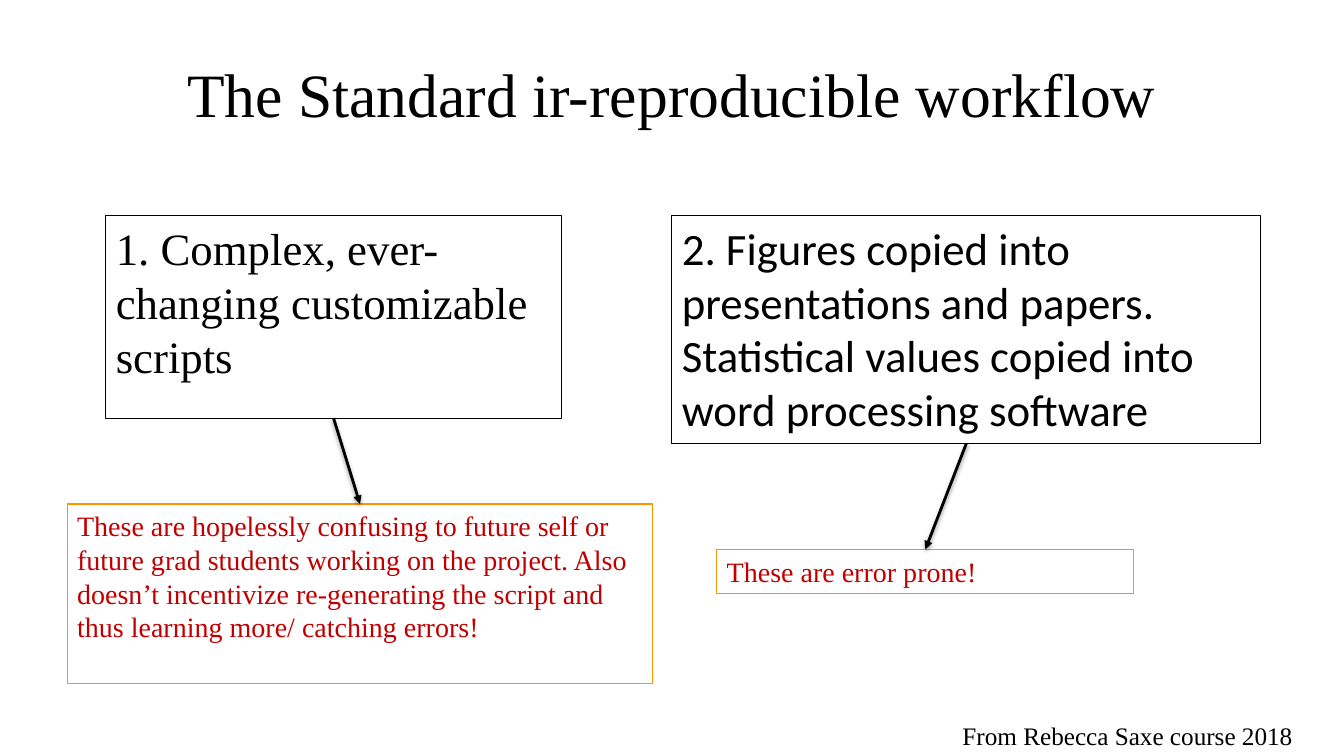
"""Build the slide on the standard ir-reproducible workflow."""
from lxml import etree
from pptx import Presentation
from pptx.dml.color import RGBColor
from pptx.enum.shapes import MSO_CONNECTOR, MSO_SHAPE
from pptx.enum.text import MSO_ANCHOR, PP_ALIGN
from pptx.oxml import parse_xml
from pptx.oxml.ns import nsdecls, qn
from pptx.util import Pt

SERIF = "Times New Roman"
BLACK, RED, ORANGE = "000000", "C00000", "FF9300"


def color(value):
    return RGBColor.from_string(value)


def add_box(box, text, size, font, text_color, line_color=None,
            align=PP_ALIGN.LEFT, anchor=MSO_ANCHOR.TOP):
    left, top, width, height = [Pt(length) for length in box]
    if line_color:
        shape = slide.shapes.add_shape(MSO_SHAPE.RECTANGLE, left, top, width, height)
        shape.shadow.inherit = False
        shape.fill.background()
        shape.line.color.rgb = color(line_color)
        shape.line.width = Pt(0.75)
    else:
        shape = slide.shapes.add_textbox(left, top, width, height)
    frame = shape.text_frame
    frame.word_wrap = True
    frame.vertical_anchor = anchor
    paragraph = frame.paragraphs[0]
    paragraph.alignment = align
    run = paragraph.add_run()
    run.text = text
    run.font.size = Pt(size)
    run.font.name = font
    run.font.color.rgb = color(text_color)
    return shape


presentation = Presentation()
presentation.slide_width = Pt(960)
presentation.slide_height = Pt(540)
slide = presentation.slides.add_slide(presentation.slide_layouts[6])

add_box((48, 21.6, 864, 90), "The Standard ir-reproducible workflow",
        44, SERIF, BLACK, align=PP_ALIGN.CENTER, anchor=MSO_ANCHOR.MIDDLE)

columns = [
    ((75.6, 154.1, 325.4, 144.7), SERIF,
     "1. Complex, ever-changing customizable scripts",
     (48, 360, 418.3, 128.2),
     "These are hopelessly confusing to future self or future grad students "
     "working on the project. Also doesn’t incentivize re-generating the "
     "script and thus learning more/ catching errors!"),
    ((480, 154.1, 420.5, 162.7), "Calibri",
     "2. Figures copied into presentations and papers. "
     "Statistical values copied into word processing software",
     (512, 392.4, 298, 31.7),
     "These are error prone!"),
]

for step_box, step_font, step_text, problem_box, problem_text in columns:
    step = add_box(step_box, step_text, 32, step_font, BLACK, BLACK)
    problem = add_box(problem_box, problem_text, 20, SERIF, RED, ORANGE)

    arrow = slide.shapes.add_connector(MSO_CONNECTOR.STRAIGHT, 0, 0, 0, 0)
    arrow.begin_connect(step, 2)
    arrow.end_connect(problem, 0)
    arrow.line.color.rgb = color(BLACK)
    arrow.line.width = Pt(2)
    etree.SubElement(arrow.line._get_or_add_ln(), qn("a:tailEnd"), type="triangle")
    arrow._element.spPr.append(parse_xml(
        f'<a:effectLst {nsdecls("a")}>'
        f'<a:outerShdw blurRad="{Pt(3.1)}" dist="{Pt(1.6)}" dir="5400000" rotWithShape="0">'
        f'<a:srgbClr val="{BLACK}"><a:alpha val="38000"/></a:srgbClr>'
        '</a:outerShdw></a:effectLst>'))

add_box((680.4, 511.2, 279.4, 28.8), "From Rebecca Saxe course 2018", 18, SERIF, BLACK)

presentation.save("out.pptx")
